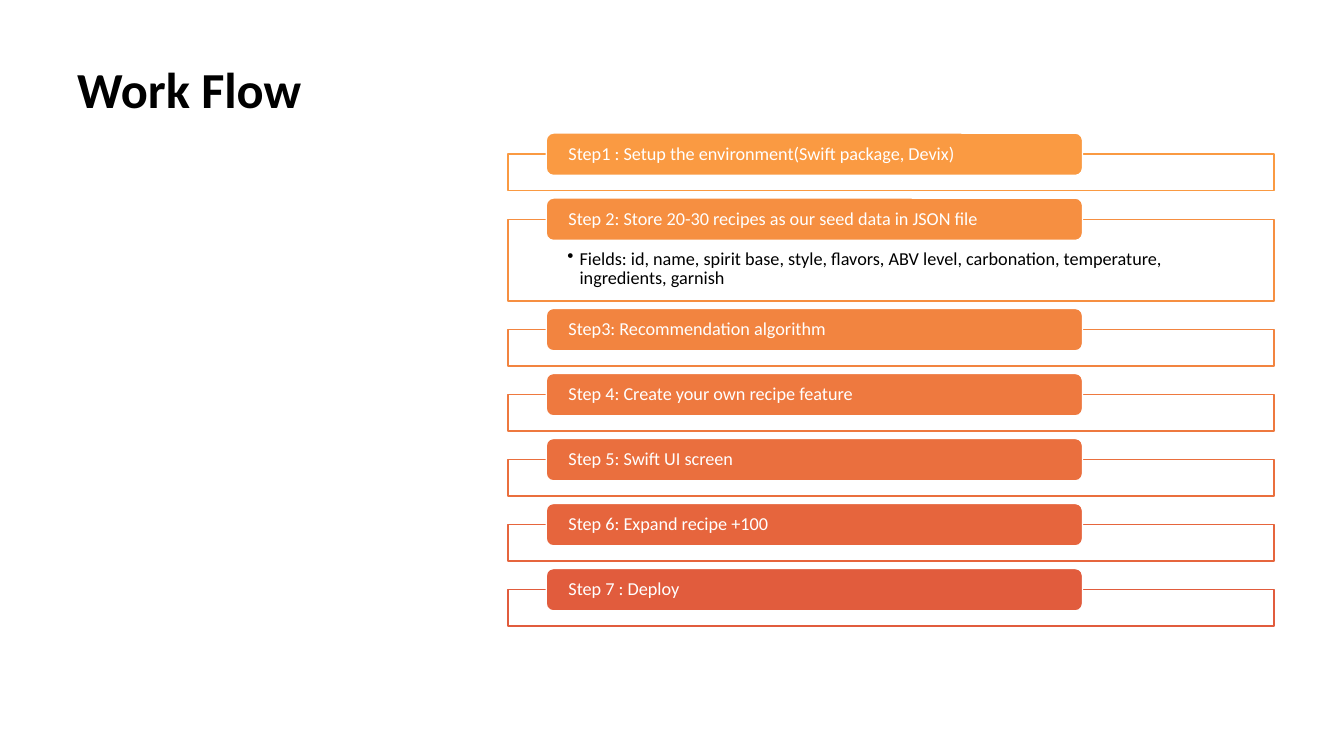
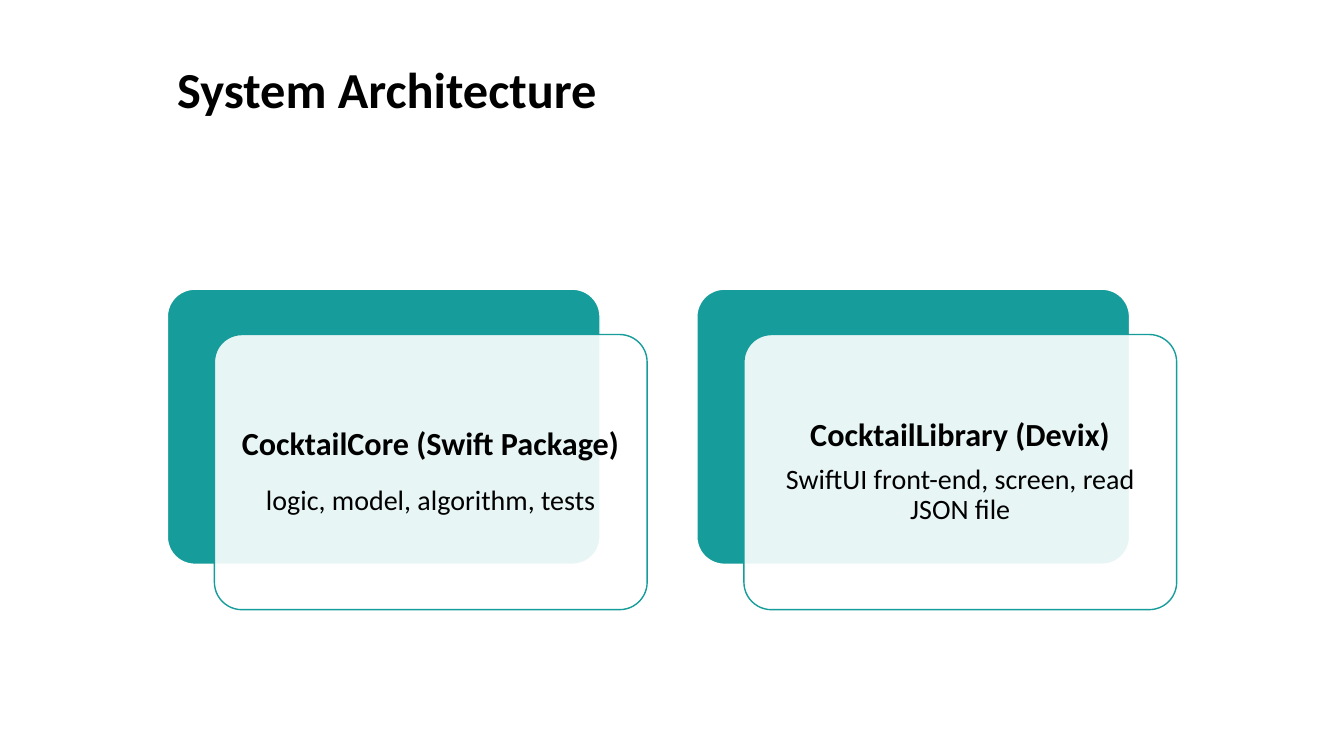
from lxml.etree import SubElement
from pptx import Presentation
from pptx.dml.color import RGBColor
from pptx.enum.shapes import MSO_SHAPE as Shape
from pptx.enum.text import MSO_ANCHOR as Anchor, PP_ALIGN as Align
from pptx.oxml.ns import qn
from pptx.util import Inches, Pt

SLIDE_W, SLIDE_H = Inches(13.333), Inches(7.5)
FONT = "Calibri"
BLACK, WHITE, TEAL = "000000", "FFFFFF", "169C9A"
TITLE_TOP = 8

STEPS = [
    ("Step1 : Setup the environment(Swift package, Devix)", "FA9A42", ""),
    ("Step 2: Store 20-30 recipes as our seed data in JSON file", "F68F41",
     "Fields: id, name, spirit base, style, flavors, ABV level, carbonation, "
     "temperature, ingredients, garnish"),
    ("Step3: Recommendation algorithm", "F28440", ""),
    ("Step 4: Create your own recipe feature", "EE793F", ""),
    ("Step 5: Swift UI screen", "EA6F3E", ""),
    ("Step 6: Expand recipe +100", "E6653D", ""),
    ("Step 7 : Deploy", "E15C3D", ""),
]
MODULES = [
    ("CocktailCore (Swift Package)", "logic, model, algorithm, tests", 9),
    ("CocktailLibrary (Devix)", "SwiftUI front-end, screen, read JSON file", 0),
]


def rgb(value):
    """Turn a hex string into a colour."""
    return RGBColor.from_string(value)


def area(left, top, width, height):
    """Convert columns and rows of a 100 by 100 grid to slide lengths."""
    return [int(share * side / 100) for share, side in
            zip((left, top, width, height), (SLIDE_W, SLIDE_H) * 2)]


def write(frame, text, size, colour=BLACK, bold=False, align=Align.LEFT,
          before=0, after=0, bullet=False):
    """Add one formatted paragraph to a text frame."""
    first = frame.paragraphs[0]
    paragraph = frame.add_paragraph() if first.runs else first
    paragraph.alignment = align
    paragraph.line_spacing = 0.9
    paragraph.space_before, paragraph.space_after = Pt(before), Pt(after)
    if bullet:
        properties = paragraph._p.get_or_add_pPr()
        indent = Inches(0.12)
        properties.set("marL", str(indent))
        properties.set("indent", str(-indent))
        SubElement(properties, qn("a:buChar")).set("char", "•")
    run = paragraph.add_run()
    run.text = text
    run.font.name, run.font.size, run.font.bold = FONT, Pt(size), bold
    run.font.color.rgb = rgb(colour)


def set_frame(frame, insets, anchor):
    """Wrap a text frame and set its insets and anchor."""
    frame.word_wrap = True
    frame.vertical_anchor = anchor
    (frame.margin_left, frame.margin_top,
     frame.margin_right, frame.margin_bottom) = map(Inches, insets)
    return frame


def panel(slide, kind, place, fill, line, opacity=100, corner=None,
          insets=(0.1, 0.1, 0.1, 0.1), anchor=Anchor.MIDDLE):
    """Draw a filled, outlined panel and return its text frame."""
    shape = slide.shapes.add_shape(kind, *area(*place))
    shape.shadow.inherit = False
    shape.fill.solid()
    shape.fill.fore_color.rgb = rgb(fill)
    shape.line.color.rgb = rgb(line)
    shape.line.width = Pt(1)
    if opacity < 100:
        colour = shape._element.spPr.find(qn("a:solidFill"))[0]
        SubElement(colour, qn("a:alpha")).set("val", str(opacity * 1000))
    if corner is not None:
        shape.adjustments[0] = corner
    return set_frame(shape.text_frame, insets, anchor)


def titled_slide(deck, title, left, width, height):
    """Add a blank slide with the shared title style."""
    slide = deck.slides.add_slide(deck.slide_layouts[6])
    heading = slide.shapes.add_textbox(*area(left, TITLE_TOP, width, height))
    frame = set_frame(heading.text_frame, (0.1, 0.05, 0.1, 0.05), Anchor.TOP)
    write(frame, title, 36, bold=True)
    return slide


def workflow_step(slide, top, label, colour, details):
    """Draw a step's outline and label bar, and return the next step's top."""
    bar_height, gap = 5.6, 1
    outline_top = top + bar_height / 2
    outline_height = 10.8 if details else 4.8
    outline = panel(slide, Shape.RECTANGLE,
                    (37.8, outline_top, 57, outline_height), WHITE, colour,
                    opacity=90, insets=(0.59, 0.3, 0.59, 0.1),
                    anchor=Anchor.TOP)
    if details:
        write(outline, details, 13, bullet=True)
    bar = panel(slide, Shape.ROUNDED_RECTANGLE, (40.65, top, 39.9, bar_height),
                colour, WHITE, insets=(0.2, 0, 0.2, 0))
    write(bar, label, 13, WHITE)
    return outline_top + outline_height + gap


def module_card(slide, left, name, role, role_gap):
    """Draw a module as a white card in front of a teal one."""
    top, width, height = 38.25, 32.2, 36.4
    panel(slide, Shape.ROUNDED_RECTANGLE, (left, top, width, height),
          TEAL, WHITE, corner=0.1)
    card = panel(slide, Shape.ROUNDED_RECTANGLE,
                 (left + 3.5, top + 6, width, height),
                 WHITE, TEAL, opacity=90, corner=0.1)
    write(card, name, 23, bold=True, align=Align.CENTER, after=8)
    write(card, role, 20, align=Align.CENTER, before=role_gap)


def main():
    """Build and save both slides."""
    deck = Presentation()
    deck.slide_width, deck.slide_height = SLIDE_W, SLIDE_H

    workflow = titled_slide(deck, "Work Flow", 5, 28.65, 84.4)
    top = 17.6
    for step in STEPS:
        top = workflow_step(workflow, top, *step)

    margin, pitch = 12.45, 39.4
    architecture = titled_slide(deck, "System Architecture", margin, 75.15, 16.5)
    for column, module in enumerate(MODULES):
        module_card(architecture, margin + column * pitch, *module)

    deck.save("out.pptx")


if __name__ == "__main__":
    main()
